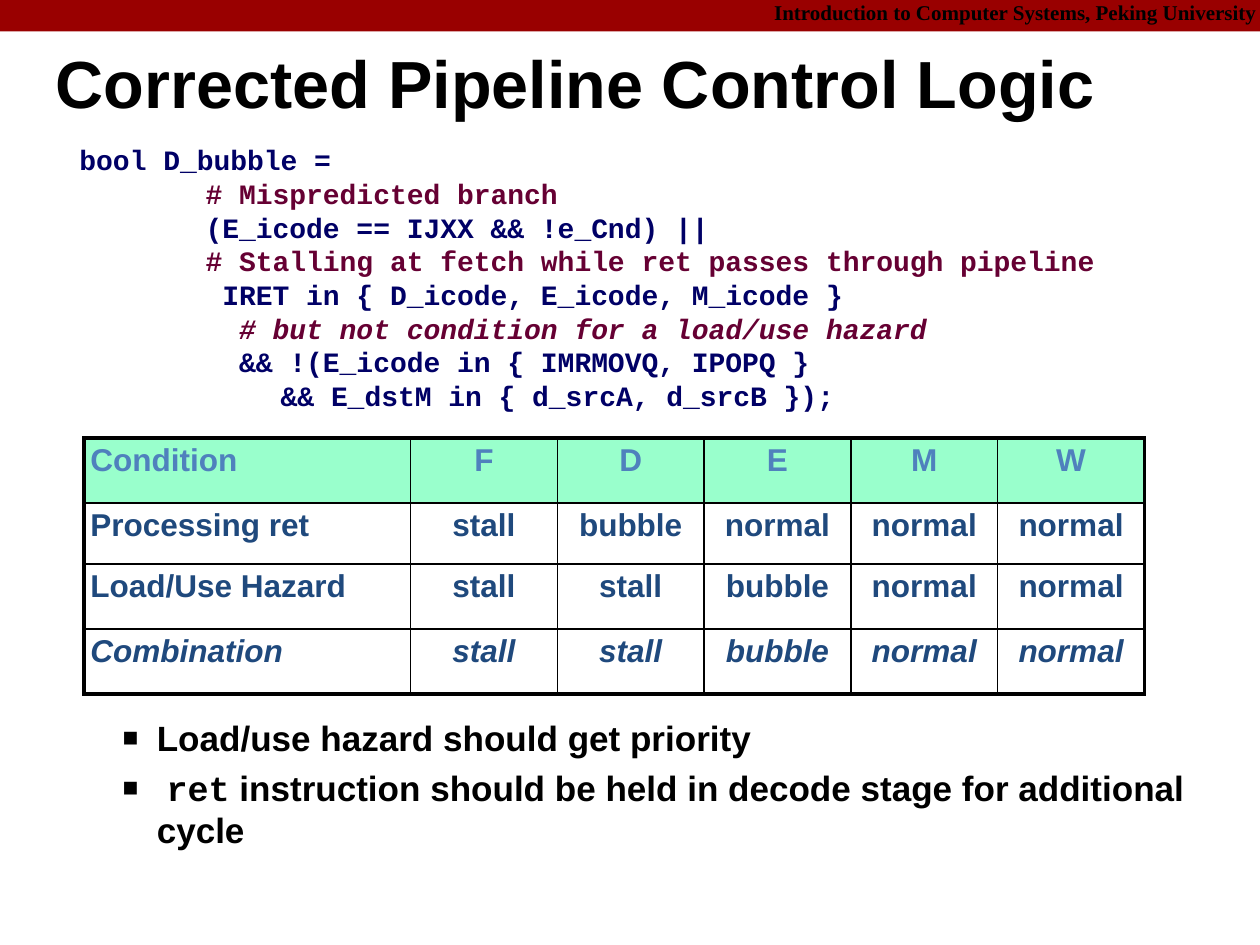
from lxml import etree
from pptx import Presentation
from pptx.dml.color import RGBColor
from pptx.enum.shapes import MSO_SHAPE
from pptx.enum.text import MSO_ANCHOR, MSO_AUTO_SIZE, PP_ALIGN
from pptx.oxml.ns import qn
from pptx.util import Pt

LEFT, CENTER, RIGHT = PP_ALIGN.LEFT, PP_ALIGN.CENTER, PP_ALIGN.RIGHT
MIDDLE, NO_FIT = MSO_ANCHOR.MIDDLE, MSO_AUTO_SIZE.NONE
RECTANGLE = MSO_SHAPE.RECTANGLE
BLACK = RGBColor(0x00, 0x00, 0x00)
BANNER_RED = RGBColor(0x99, 0x00, 0x00)
HEADER_GREEN = RGBColor(0x99, 0xFF, 0xCC)
HEADER_BLUE = RGBColor(0x4F, 0x81, 0xBD)
CELL_BLUE = RGBColor(0x1F, 0x49, 0x7D)
CODE_BLUE = RGBColor(0x00, 0x00, 0x66)
COMMENT_PLUM = RGBColor(0x66, 0x00, 0x33)


def add_run(paragraph, text, size, color=BLACK, face="Arial", italic=False):
    run = paragraph.add_run()
    run.text = text
    run.font.name = face
    run.font.size = Pt(size)
    run.font.bold = True
    run.font.italic = italic
    run.font.color.rgb = color


def set_frame(frame, left=0, top=0, right=0, bottom=0):
    frame.word_wrap = True
    frame.auto_size = NO_FIT
    frame.margin_left, frame.margin_top = Pt(left), Pt(top)
    frame.margin_right, frame.margin_bottom = Pt(right), Pt(bottom)


deck = Presentation()
deck.slide_width, deck.slide_height = Pt(719.28), Pt(539.28)
slide = deck.slides.add_slide(deck.slide_layouts[1])

# Course banner
banner = slide.shapes.add_shape(RECTANGLE, 0, 0, deck.slide_width, Pt(18))
banner.shadow.inherit = False
banner.fill.solid()
banner.fill.fore_color.rgb = BANNER_RED
banner.line.fill.background()
course = slide.shapes.add_textbox(Pt(424), 0, Pt(295), Pt(18)).text_frame
set_frame(course, top=1.5, right=1.5)
course_line = course.paragraphs[0]
course_line.alignment = RIGHT
course_line.line_spacing = 0.9
add_run(course_line, "Introduction to Computer Systems, Peking University", 12,
        face="Times New Roman")

# Title
title = slide.shapes.title
title.left, title.top, title.width, title.height = Pt(31.7), Pt(19.4), Pt(685.4), Pt(61.2)
set_frame(title.text_frame)
title.text_frame.vertical_anchor = MIDDLE
heading = title.text_frame.paragraphs[0]
heading.alignment = LEFT
heading.line_spacing = 0.87
add_run(heading, "Corrected Pipeline Control Logic", 38)

# Control logic code
CODE = [
    ("bool D_bubble =", CODE_BLUE, False),
    ("\t# Mispredicted branch", COMMENT_PLUM, False),
    ("\t(E_icode == IJXX && !e_Cnd) ||", CODE_BLUE, False),
    ("\t# Stalling at fetch while ret passes through pipeline", COMMENT_PLUM, False),
    ("\t IRET in { D_icode, E_icode, M_icode }", CODE_BLUE, False),
    ("\t  # but not condition for a load/use hazard", COMMENT_PLUM, True),
    ("\t  && !(E_icode in { IMRMOVQ, IPOPQ }", CODE_BLUE, False),
    ("            && E_dstM in { d_srcA, d_srcB });", CODE_BLUE, False),
]
code = slide.shapes.add_textbox(Pt(41.8), Pt(77.8), Pt(665), Pt(164)).text_frame
set_frame(code, 3.6, 3.6, 3.6, 3.6)
for number, (text, color, italic) in enumerate(CODE):
    line = code.add_paragraph() if number else code.paragraphs[0]
    tabs = etree.SubElement(line._p.get_or_add_pPr(), qn("a:tabLst"))
    etree.SubElement(tabs, qn("a:tab"), pos=str(Pt(72)), algn="l")
    line.line_spacing = Pt(19.25)
    add_run(line, text, 16, color, "Courier New", italic)

# Pipeline condition table
CONDITIONS = [
    ["Condition", "F", "D", "E", "M", "W"],
    ["Processing ret", "stall", "bubble", "normal", "normal", "normal"],
    ["Load/Use Hazard", "stall", "stall", "bubble", "normal", "normal"],
    ["Combination", "stall", "stall", "bubble", "normal", "normal"],
]
COLUMN_WIDTHS = [186.4] + [83.8] * 5
ROW_HEIGHTS = [37.1, 34.8, 37.1, 37.1]
last_row, last_column = len(ROW_HEIGHTS) - 1, len(COLUMN_WIDTHS) - 1
conditions = slide.shapes.add_table(
    len(ROW_HEIGHTS), len(COLUMN_WIDTHS), Pt(48), Pt(250),
    Pt(sum(COLUMN_WIDTHS)), Pt(sum(ROW_HEIGHTS))).table
conditions.first_row = conditions.horz_banding = False
for column, width in zip(conditions.columns, COLUMN_WIDTHS):
    column.width = Pt(width)
for r, height in enumerate(ROW_HEIGHTS):
    conditions.rows[r].height = Pt(height)
    for c, text in enumerate(CONDITIONS[r]):
        cell = conditions.cell(r, c)
        cell.margin_left = cell.margin_right = Pt(3.6)
        cell.margin_top = cell.margin_bottom = Pt(3.6)
        if r == 0:
            cell.fill.solid()
            cell.fill.fore_color.rgb = HEADER_GREEN
        else:
            cell.fill.background()
        entry = cell.text_frame.paragraphs[0]
        entry.alignment = CENTER if c else LEFT
        entry.line_spacing = 0.95
        add_run(entry, text, 18, CELL_BLUE if r else HEADER_BLUE, italic=r == last_row)
        # Thick frame outside, thin rules inside
        outer_edges = {"a:lnL": c == 0, "a:lnR": c == last_column,
                       "a:lnT": r == 0, "a:lnB": r == last_row}
        for position, (tag, outer) in enumerate(outer_edges.items()):
            border = etree.Element(qn(tag), w=str(Pt(2.25 if outer else 1)))
            paint = etree.SubElement(border, qn("a:solidFill"))
            etree.SubElement(paint, qn("a:srgbClr"), val=str(BLACK))
            cell._tc.get_or_add_tcPr().insert(position, border)

# Conclusions
CONCLUSIONS = [
    [("Load/use hazard should get priority", "Arial")],
    [(" ", "Arial"), ("ret", "Courier New"),
     (" instruction should be held in decode stage for additional cycle", "Arial")],
]
conclusions = slide.placeholders[1]
conclusions.left, conclusions.top = Pt(23.8), Pt(405)
conclusions.width, conclusions.height = Pt(661), Pt(113)
set_frame(conclusions.text_frame, 7.2, 3.6, 7.2, 3.6)
for number, parts in enumerate(CONCLUSIONS):
    frame = conclusions.text_frame
    point = frame.add_paragraph() if number else frame.paragraphs[0]
    point.level = 1
    properties = point._p.get_or_add_pPr()
    properties.set("marL", str(Pt(58.5)))
    properties.set("indent", str(Pt(-19.5)))
    etree.SubElement(properties, qn("a:buSzPct"), val="75000")
    etree.SubElement(properties, qn("a:buFont"), typeface="Arial")
    etree.SubElement(properties, qn("a:buChar"), char="■")
    point.space_before = Pt(5 if number else 0)
    for text, face in parts:
        add_run(point, text, 20, face=face)

deck.save("out.pptx")
